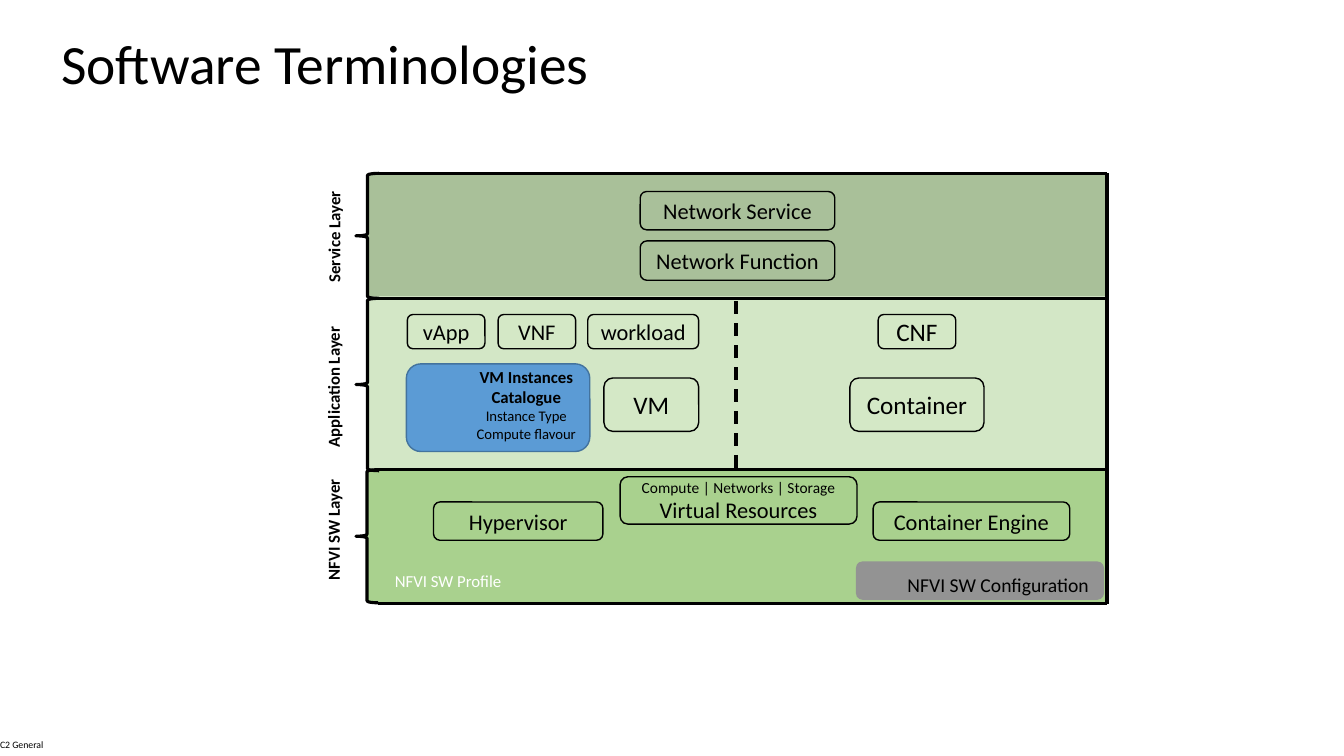
from dataclasses import dataclass
from typing import NamedTuple

from lxml import etree
from pptx import Presentation
from pptx import util as u
from pptx.dml.color import RGBColor
from pptx.enum import dml, shapes, text
from pptx.oxml.ns import qn

PX = 9144  # 100 px to the inch


@dataclass(frozen=True)
class Theme:
    font: str = "Calibri"
    black: str = "000000"
    white: str = "FFFFFF"
    service: str = "548235"
    service_node: str = "A9C09A"
    nfvi: str = "A9D18E"
    app_node: str = "D4E8C6"
    blue: str = "5B9BD5"
    blue_edge: str = "43739E"
    grey: str = "939393"
    title: float = 39.6
    large: float = 18
    node: float = 16
    config: float = 14
    label: float = 12
    small: float = 11
    detail: float = 10.5
    footer: float = 7
    thin: float = 1
    thick: float = 2.25


T = Theme()


class Box(NamedTuple):
    x: int
    y: int
    w: int
    h: int

    def emu(self) -> list[u.Emu]:
        return [u.Emu(v * PX) for v in self]


class Line(NamedTuple):
    text: str
    size: float
    bold: bool = False
    color: str = T.black


@dataclass(frozen=True)
class Layer:
    name: str
    band: Box
    fill: str
    opacity: int
    brace: Box
    label: Box


@dataclass(frozen=True)
class Node:
    box: Box
    fill: str
    lines: tuple[Line, ...] = ()
    edge: str | None = T.black


@dataclass(frozen=True)
class Label:
    box: Box
    lines: tuple[Line, ...]
    align: text.PP_ALIGN = text.PP_ALIGN.LEFT
    anchor: text.MSO_ANCHOR = text.MSO_ANCHOR.TOP
    rotation: int = 0
    wrap: bool = True
    grow: bool = True
    inset: bool = True
    spacing: float | None = None


@dataclass(frozen=True)
class Rule:
    x1: int
    y1: int
    x2: int
    y2: int
    dashed: bool = False


def node(x: int, y: int, w: int, h: int, fill: str, name: str, size: float = T.node) -> Node:
    return Node(Box(x, y, w, h), fill, (Line(name, size),))


CENTER, MIDDLE = text.PP_ALIGN.CENTER, text.MSO_ANCHOR.MIDDLE

LAYERS = (
    Layer("Service Layer", Box(364, 172, 734, 122), T.service, 50,
          Box(353, 172, 23, 124), Box(272, 216, 118, 30)),
    Layer("Application Layer", Box(365, 294, 734, 172), T.nfvi, 50,
          Box(353, 296, 23, 171), Box(259, 367, 143, 30)),
    Layer("NFVI SW Layer", Box(364, 466, 735, 132), T.nfvi, 100,
          Box(353, 466, 22, 132), Box(262, 502, 137, 30)),
)

RULES = (
    *(Rule(375, y, 1098, y) for y in (172, 296, 466, 599)),
    Rule(1098, 172, 1098, 599),
    Rule(730, 299, 730, 467, dashed=True),
)

NODES = (
    node(635, 190, 193, 38, T.service_node, "Network Service"),
    node(635, 239, 193, 39, T.service_node, "Network Function"),
    node(404, 312, 77, 34, T.app_node, "vApp"),
    node(494, 312, 77, 34, T.app_node, "VNF"),
    node(583, 312, 110, 34, T.app_node, "workload"),
    node(871, 312, 77, 34, T.app_node, "CNF", T.large),
    node(599, 375, 94, 53, T.app_node, "VM", T.large),
    node(843, 375, 133, 53, T.app_node, "Container", T.large),
    node(430, 498, 168, 38, T.nfvi, "Hypervisor"),
    Node(Box(615, 473, 235, 47), T.nfvi,
         (Line("Compute | Networks | Storage", T.small), Line("Virtual Resources", T.node))),
    node(866, 498, 195, 38, T.nfvi, "Container Engine"),
    Node(Box(849, 557, 246, 38), T.grey, edge=None),
    Node(Box(403, 361, 182, 87), T.blue, edge=T.blue_edge),
)

LABELS = (
    Label(Box(0, 727, 68, 23), (Line("C2 General", T.footer),), anchor=MIDDLE, inset=False),
    Label(Box(51, 29, 1150, 74), (Line("Software Terminologies", T.title),),
          anchor=MIDDLE, grow=False, spacing=0.9),
    Label(Box(889, 563, 202, 34), (Line("NFVI SW Configuration", T.config),), CENTER, wrap=False),
    Label(Box(358, 561, 173, 30), (Line("NFVI SW Profile", T.label, color=T.white),), CENTER),
    Label(Box(458, 359, 128, 86),
          (Line("VM Instances", T.label, True), Line("Catalogue", T.label, True),
           Line("Instance Type", T.detail), Line("Compute flavour", T.detail)), CENTER),
    *(Label(a.label, (Line(a.name, T.label, True),), rotation=270) for a in LAYERS),
)


def write(tf, lines: tuple[Line, ...], align: text.PP_ALIGN, spacing: float | None = None) -> None:
    for i, line in enumerate(lines):
        p = tf.add_paragraph() if i else tf.paragraphs[0]
        p.alignment = align
        p.line_spacing = spacing
        r = p.add_run()
        r.text = line.text
        r.font.name, r.font.size, r.font.bold = T.font, u.Pt(line.size), line.bold
        r.font.color.rgb = RGBColor.from_string(line.color)


def draw_shape(s, kind: shapes.MSO_SHAPE, box: Box, fill: str | None,
               edge: str | None, width: float = T.thin):
    sp = s.shapes.add_shape(kind, *box.emu())
    sp.shadow.inherit = False
    if fill:
        sp.fill.solid()
        sp.fill.fore_color.rgb = RGBColor.from_string(fill)
    else:
        sp.fill.background()
    if edge:
        sp.line.color.rgb = RGBColor.from_string(edge)
        sp.line.width = u.Pt(width)
    else:
        sp.line.fill.background()
    return sp


def draw_layer(s, layer: Layer) -> None:
    sp = draw_shape(s, shapes.MSO_SHAPE.RECTANGLE, layer.band, layer.fill, None)
    if layer.opacity < 100:
        color = sp.fill._xPr.find(qn("a:solidFill"))[0]
        etree.SubElement(color, qn("a:alpha")).set("val", str(layer.opacity * 1000))


def draw_node(s, item: Node) -> None:
    sp = draw_shape(s, shapes.MSO_SHAPE.ROUNDED_RECTANGLE, item.box, item.fill, item.edge)
    tf = sp.text_frame
    tf.word_wrap, tf.vertical_anchor = True, MIDDLE
    write(tf, item.lines, CENTER)


def draw_rule(s, rule: Rule) -> None:
    ends = (u.Emu(v * PX) for v in (rule.x1, rule.y1, rule.x2, rule.y2))
    c = s.shapes.add_connector(shapes.MSO_CONNECTOR.STRAIGHT, *ends)
    c.line.color.rgb = RGBColor.from_string(T.black)
    c.line.width = u.Pt(T.thick)
    if rule.dashed:
        c.line.dash_style = dml.MSO_LINE.DASH
    etree.SubElement(c._element.spPr, qn("a:effectLst"))


def draw_label(s, label: Label) -> None:
    sp = s.shapes.add_textbox(*label.box.emu())
    sp.rotation = label.rotation
    tf = sp.text_frame
    tf.word_wrap, tf.vertical_anchor = label.wrap, label.anchor
    tf.auto_size = text.MSO_AUTO_SIZE.SHAPE_TO_FIT_TEXT if label.grow else text.MSO_AUTO_SIZE.NONE
    if not label.inset:
        tf.margin_left = tf.margin_top = tf.margin_right = tf.margin_bottom = 0
    write(tf, label.lines, label.align, label.spacing)


def main() -> None:
    prs = Presentation()
    prs.slide_width, prs.slide_height = u.Emu(1333 * PX), u.Emu(750 * PX)
    s = prs.slides.add_slide(prs.slide_layouts[6])
    for layer in LAYERS:
        draw_layer(s, layer)
    for layer in LAYERS:
        draw_shape(s, shapes.MSO_SHAPE.LEFT_BRACE, layer.brace, None, T.black, T.thick)
    for rule in RULES:
        draw_rule(s, rule)
    for item in NODES:
        draw_node(s, item)
    for label in LABELS:
        draw_label(s, label)
    prs.save("out.pptx")


if __name__ == "__main__":
    main()
